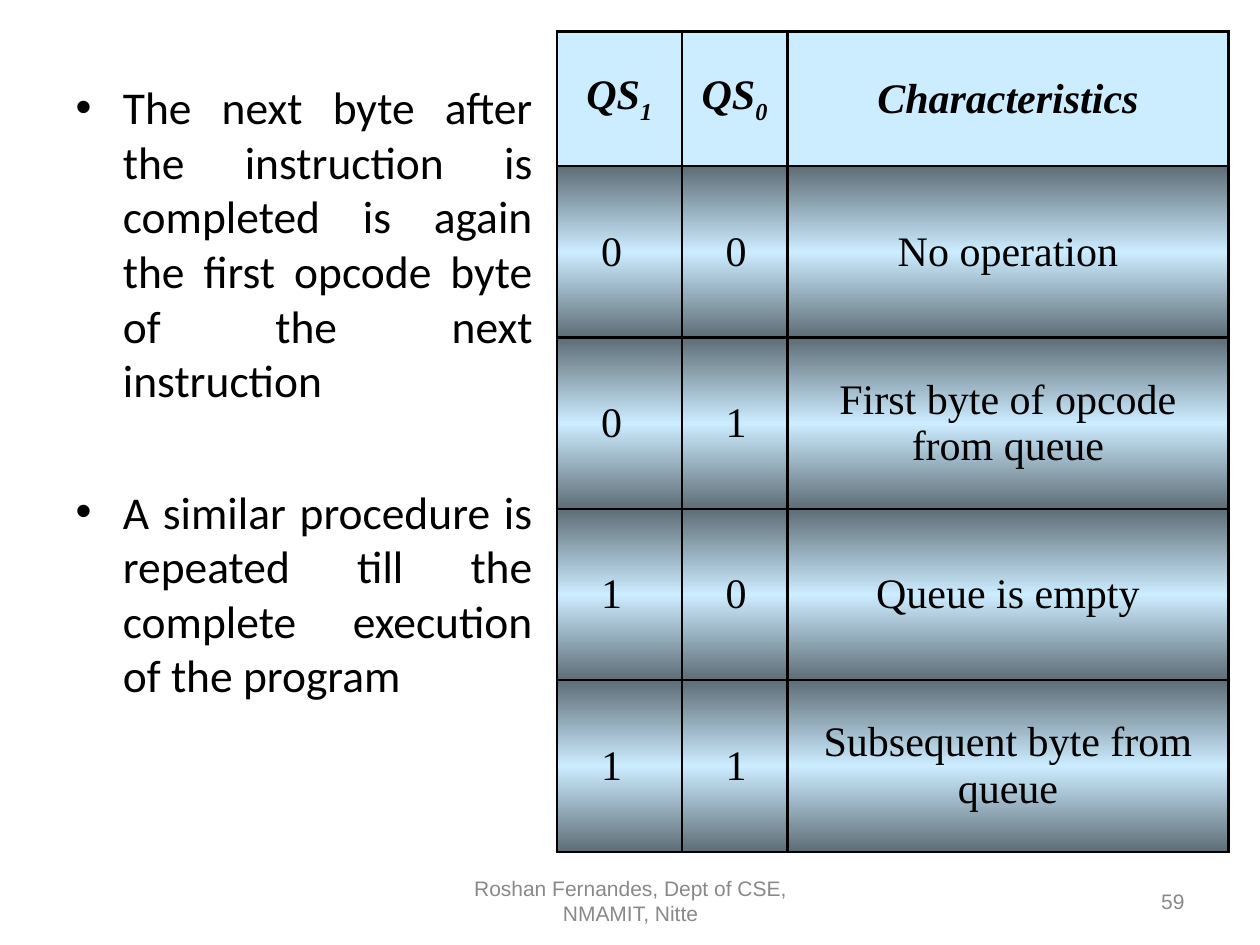
from dataclasses import dataclass

from lxml import etree
from pptx import Presentation, util as u
from pptx.dml.color import RGBColor
from pptx.enum import text
from pptx.oxml.ns import nsdecls, qn

ALIGN = text.PP_ALIGN
MIDDLE = text.MSO_ANCHOR.MIDDLE


@dataclass(frozen=True)
class Theme:
    ink: str = "000000"
    muted: str = "898989"
    light: str = "CCECFF"
    dark: str = "5E6D76"
    body_font: str = "Calibri"
    table_font: str = "Times New Roman"
    footer_font: str = "Arial"
    body_size: float = 26
    table_size: float = 24
    footer_size: float = 12
    border: float = 1.5
    bullet_gap: float = 44
    digit_indent: float = 0.25


THEME = Theme()

BULLETS = (
    "The next byte after the instruction is completed is again "
    "the first opcode byte of the next instruction",
    "A similar procedure is repeated till the complete execution of the program",
)
HEADINGS = (("QS", "1"), ("QS", "0"), ("Characteristics", ""))
QUEUE_STATES = (
    ("0", "0", ("No operation",)),
    ("0", "1", ("First byte of opcode", "from queue")),
    ("1", "0", ("Queue is empty",)),
    ("1", "1", ("Subsequent byte from", "queue")),
)
COLUMN_WIDTHS = (0.99, 0.84, 3.5)
HEADING_HEIGHT, STATE_HEIGHT = 1.07, 1.36


def add_run(paragraph, words, font, size, color):
    run = paragraph.add_run()
    run.text = words
    run.font.name = font
    run.font.size = u.Pt(size)
    run.font.color.rgb = RGBColor.from_string(color)
    return run


def add_bullets(slide):
    body = slide.placeholders[1]
    body.left, body.top, body.width, body.height = map(u.Inches, (0.5, 0.58, 3.83, 6.12))
    frame = body.text_frame
    frame.auto_size = text.MSO_AUTO_SIZE.NONE
    for index, words in enumerate(BULLETS):
        paragraph = frame.add_paragraph() if index else frame.paragraphs[0]
        paragraph.alignment = ALIGN.JUSTIFY
        paragraph.space_before = u.Pt(THEME.bullet_gap if index else 0)
        add_run(paragraph, words, THEME.body_font, THEME.body_size, THEME.ink)


def solid_fill(color):
    return f'<a:solidFill {nsdecls("a")}><a:srgbClr val="{color}"/></a:solidFill>'


def banded_fill():
    """Vertical gradient, dark at both edges and light in the middle."""
    stops = ((0, THEME.dark), (50, THEME.light), (100, THEME.dark))
    gradient = "".join(
        f'<a:gs pos="{share * 1000}"><a:srgbClr val="{color}"/></a:gs>' for share, color in stops
    )
    return (f'<a:gradFill {nsdecls("a")} rotWithShape="1"><a:gsLst>{gradient}</a:gsLst>'
            '<a:lin ang="5400000" scaled="1"/></a:gradFill>')


def style_cell(cell, fill):
    """Centre vertically; borders have to come before the fill."""
    cell.vertical_anchor = MIDDLE
    properties = cell._tc.get_or_add_tcPr()
    for side in ("lnL", "lnR", "lnT", "lnB"):
        line = etree.SubElement(properties, qn(f"a:{side}"), w=str(u.Pt(THEME.border)))
        line.append(etree.fromstring(solid_fill(THEME.ink)))
    properties.append(etree.fromstring(fill))


def add_table_run(paragraph, words):
    return add_run(paragraph, words, THEME.table_font, THEME.table_size, THEME.ink)


def fill_heading(cell, label, subscript):
    style_cell(cell, solid_fill(THEME.light))
    paragraph = cell.text_frame.paragraphs[0]
    paragraph.alignment = ALIGN.CENTER
    for words in filter(None, (label, subscript)):
        run = add_table_run(paragraph, words)
        run.font.bold = run.font.italic = True
        if words == subscript:
            run.font._element.set("baseline", "-25000")


def fill_digit(cell, digit):
    style_cell(cell, banded_fill())
    paragraph = cell.text_frame.paragraphs[0]
    paragraph.alignment = ALIGN.JUSTIFY
    paragraph._p.get_or_add_pPr().set("marL", str(u.Inches(THEME.digit_indent)))
    add_table_run(paragraph, digit)


def fill_meaning(cell, lines):
    style_cell(cell, banded_fill())
    frame = cell.text_frame
    for index, words in enumerate(lines):
        paragraph = frame.add_paragraph() if index else frame.paragraphs[0]
        paragraph.alignment = ALIGN.CENTER
        add_table_run(paragraph, words)


def add_queue_table(slide):
    heights = (HEADING_HEIGHT,) + (STATE_HEIGHT,) * len(QUEUE_STATES)
    table = slide.shapes.add_table(
        len(heights), len(COLUMN_WIDTHS), u.Inches(4.42), u.Inches(0.25),
        u.Inches(sum(COLUMN_WIDTHS)), u.Inches(sum(heights)),
    ).table
    table.horz_banding = table.first_row = False
    for column, width in zip(table.columns, COLUMN_WIDTHS):
        column.width = u.Inches(width)
    for row, height in zip(table.rows, heights):
        row.height = u.Inches(height)
    for column, heading in enumerate(HEADINGS):
        fill_heading(table.cell(0, column), *heading)
    for row, (qs1, qs0, meaning) in enumerate(QUEUE_STATES, start=1):
        fill_digit(table.cell(row, 0), qs1)
        fill_digit(table.cell(row, 1), qs0)
        fill_meaning(table.cell(row, 2), meaning)


def add_footer(slide, words, left, width, alignment):
    box = slide.shapes.add_textbox(*map(u.Inches, (left, 6.95, width, 0.4)))
    frame = box.text_frame
    frame.word_wrap = True
    frame.vertical_anchor = MIDDLE
    paragraph = frame.paragraphs[0]
    paragraph.alignment = alignment
    add_run(paragraph, words, THEME.footer_font, THEME.footer_size, THEME.muted)


def main():
    deck = Presentation()
    deck.slide_width, deck.slide_height = u.Inches(10), u.Inches(7.5)
    slide = deck.slides.add_slide(deck.slide_layouts[1])
    unused_title = slide.shapes.title._element
    unused_title.getparent().remove(unused_title)
    add_bullets(slide)
    add_queue_table(slide)
    add_footer(slide, "Roshan Fernandes, Dept of CSE, NMAMIT, Nitte", 3.42, 3.17, ALIGN.CENTER)
    add_footer(slide, "59", 7.17, 2.33, ALIGN.RIGHT)
    deck.save("out.pptx")


if __name__ == "__main__":
    main()
